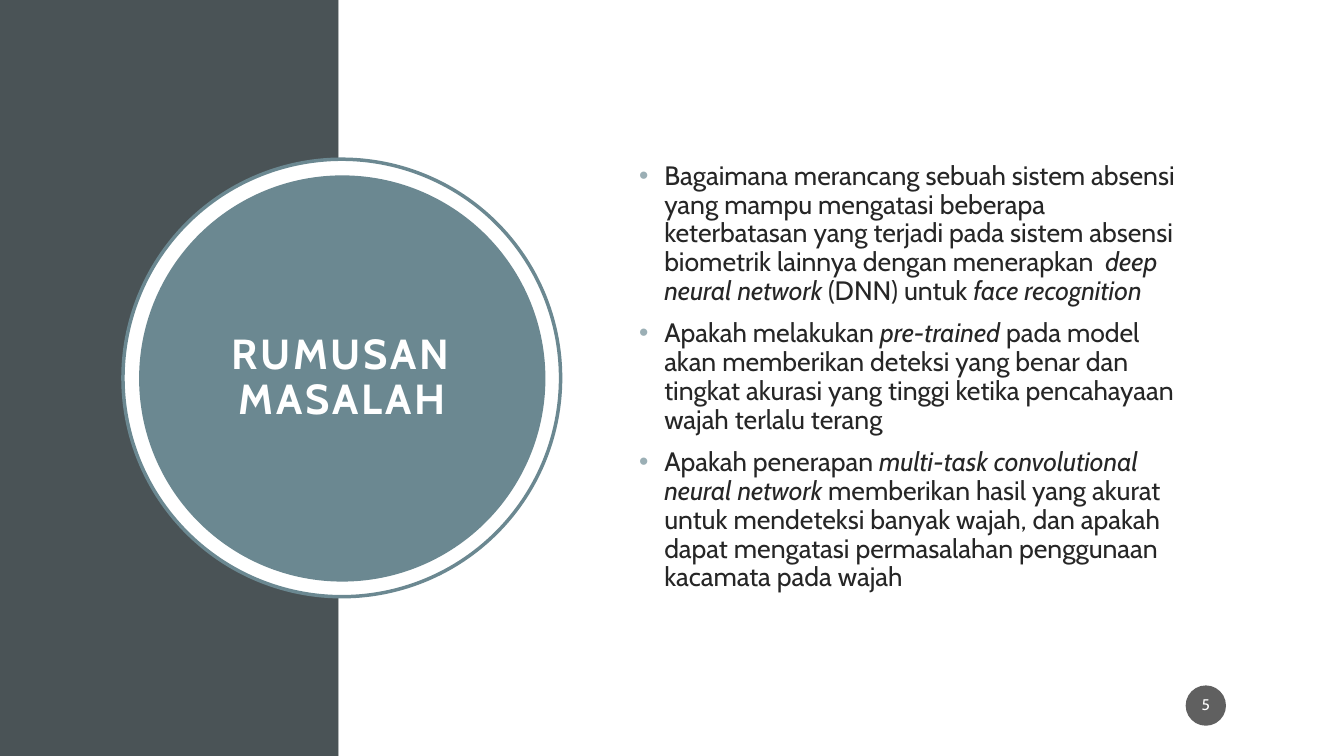
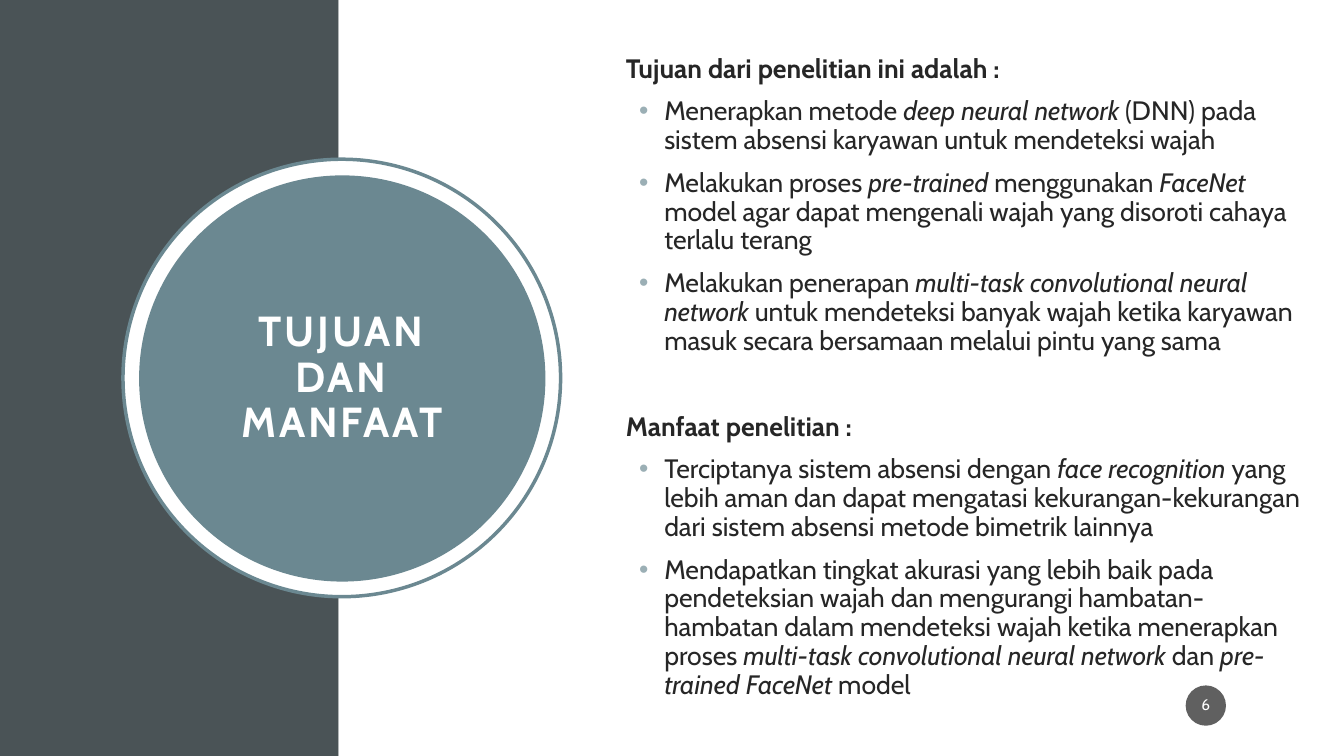
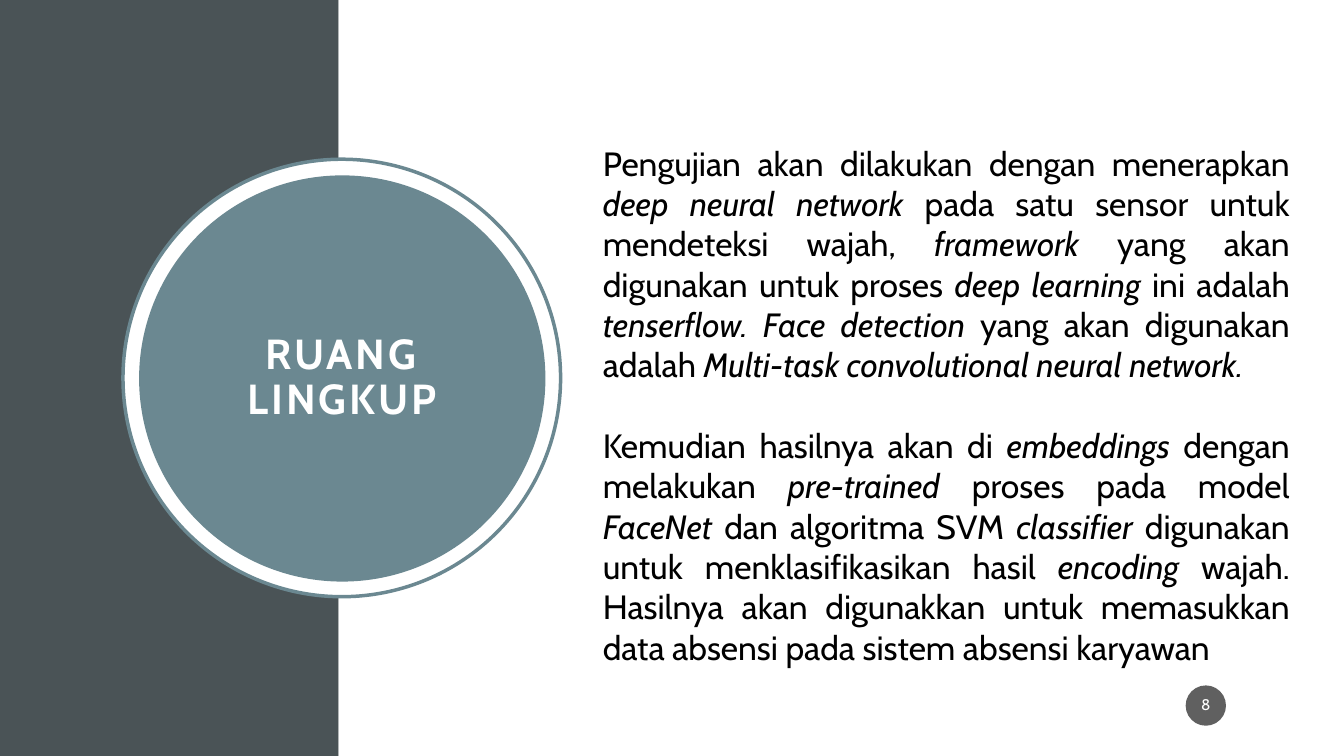
"""Build three slides, each with a round title beside its body text."""
from dataclasses import dataclass

from lxml import etree
from pptx import Presentation
from pptx import util as u
from pptx.dml.color import RGBColor
from pptx.enum import shapes, text
from pptx.oxml.ns import qn
from pptx.shapes.autoshape import Shape
from pptx.slide import Slide

KIND = shapes.MSO_SHAPE
ALIGN = text.PP_ALIGN


@dataclass(frozen=True)
class Theme:
    font: str = "Cabin"
    band: str = "4A5356"
    disc: str = "6B8891"
    dot: str = "9BAFB5"
    badge: str = "1D1D1D"
    white: str = "FFFFFF"
    ink: str = "262626"
    black: str = "000000"
    head: int = 30
    list: int = 19
    prose: int = 24
    foot: int = 11


T = Theme()


@dataclass(frozen=True)
class Box:
    x: float
    y: float
    w: float
    h: float

    def emu(self) -> list[u.Length]:
        return [u.Inches(n) for n in (self.x, self.y, self.w, self.h)]


@dataclass(frozen=True)
class Style:
    size: int
    color: str
    align: ALIGN = ALIGN.LEFT
    line: float = 1.0
    before: int = 0
    after: int = 0
    bold: bool = False
    track: int = 0
    bullet: bool = False


@dataclass(frozen=True)
class Para:
    words: str
    style: Style


@dataclass(frozen=True)
class Page:
    title: str
    num: int
    box: Box
    body: list[Para]


BAND = Box(0, 0, 3.36, 7.5)
PANEL = Box(3.36, 0, 9.97, 7.5)
RING = Box(1.22, 1.58, 4.34, 4.34)
DISC = Box(1.38, 1.74, 4.03, 4.03)
BADGE = Box(11.76, 6.8, 0.4, 0.4)

TITLE = Style(T.head, T.white, ALIGN.CENTER, 0.9, after=6, bold=True, track=200)
FOOT = Style(T.foot, T.white, ALIGN.CENTER, 0.9, after=6)
ITEM = Style(T.list, T.ink, line=0.9, before=10, bullet=True)
LEAD = Style(T.list, T.ink, line=0.9, before=10, bold=True)
NEXT = Style(T.list, T.ink, line=0.9, before=41, bold=True)
PROSE = Style(T.prose, T.black, ALIGN.JUSTIFY)
LATER = Style(T.prose, T.black, ALIGN.JUSTIFY, before=29)

PAGES = [
    Page("RUMUSAN MASALAH", 5, Box(6.11, 1.53, 5.82, 4.43), [
        Para("Bagaimana merancang sebuah sistem absensi yang mampu mengatasi "
             "beberapa keterbatasan yang terjadi pada sistem absensi biometrik "
             "lainnya dengan menerapkan  _deep neural network _(DNN) untuk "
             "_face recognition_", ITEM),
        Para("Apakah melakukan_ pre-trained _pada model akan memberikan deteksi "
             "yang benar dan tingkat akurasi yang tinggi ketika pencahayaan "
             "wajah terlalu terang", ITEM),
        Para("Apakah penerapan _multi-task convolutional neural network "
             "_memberikan hasil yang akurat untuk mendeteksi banyak wajah, dan "
             "apakah dapat mengatasi permasalahan penggunaan kacamata pada "
             "wajah", ITEM),
    ]),
    Page("TUJUAN DAN MANFAAT", 6, Box(6.11, 1.53, 7.01, 4.43), [
        Para("Tujuan dari penelitian ini adalah :", LEAD),
        Para("Menerapkan metode _deep neural network _(DNN) pada sistem absensi "
             "karyawan untuk mendeteksi wajah", ITEM),
        Para("Melakukan proses _pre-trained _menggunakan _FaceNet _model agar "
             "dapat mengenali wajah yang disoroti cahaya terlalu terang", ITEM),
        Para("Melakukan penerapan _multi-task convolutional neural network "
             "_untuk mendeteksi banyak wajah ketika karyawan masuk secara "
             "bersamaan melalui pintu yang sama", ITEM),
        Para("Manfaat penelitian :", NEXT),
        Para("Terciptanya sistem absensi dengan _face recognition _yang lebih "
             "aman dan dapat mengatasi kekurangan-kekurangan dari sistem "
             "absensi metode bimetrik lainnya", ITEM),
        Para("Mendapatkan tingkat akurasi yang lebih baik pada pendeteksian "
             "wajah dan mengurangi hambatan-hambatan dalam mendeteksi wajah "
             "ketika menerapkan proses _multi-task convolutional neural network "
             "_dan _pre-trained FaceNet_ model", ITEM),
    ]),
    Page("RUANG LINGKUP", 8, Box(5.88, 1.53, 7.01, 4.97), [
        Para("Pengujian akan dilakukan dengan menerapkan _deep neural network "
             "_pada satu sensor untuk mendeteksi wajah, _framework _yang akan "
             "digunakan untuk proses _deep learning _ini adalah _tenserflow. "
             "Face detection_ yang akan digunakan adalah_ Multi-task "
             "convolutional neural network._", PROSE),
        Para("Kemudian hasilnya akan di _embeddings _dengan melakukan "
             "_pre-trained _proses pada model _FaceNet _dan algoritma SVM "
             "_classifier _digunakan untuk menklasifikasikan hasil _encoding "
             "_wajah. Hasilnya akan digunakkan untuk memasukkan data absensi "
             "pada sistem absensi karyawan", LATER),
    ]),
]


def add_dot(para) -> None:
    """Give a paragraph a hanging round bullet."""
    props = para._p.get_or_add_pPr()
    props.set("marL", str(u.Inches(0.38)))
    props.set("indent", str(u.Inches(-0.25)))
    tint = etree.SubElement(props, qn("a:buClr"))
    etree.SubElement(tint, qn("a:srgbClr"), val=T.dot)
    etree.SubElement(props, qn("a:buFont"), typeface="Arial")
    etree.SubElement(props, qn("a:buChar"), char="•")


def write(shape: Shape, paras: list[Para], pad: tuple[float, float]) -> None:
    """Fill a shape with paragraphs, where underscores toggle italics."""
    frame = shape.text_frame
    frame.word_wrap = True
    frame.vertical_anchor = text.MSO_ANCHOR.MIDDLE
    frame.margin_left = frame.margin_right = u.Inches(pad[0])
    frame.margin_top = frame.margin_bottom = u.Inches(pad[1])
    for num, item in enumerate(paras):
        para = frame.add_paragraph() if num else frame.paragraphs[0]
        style = item.style
        para.alignment = style.align
        para.line_spacing = style.line
        para.space_before = u.Pt(style.before)
        para.space_after = u.Pt(style.after)
        if style.bullet:
            add_dot(para)
        for turn, bit in enumerate(item.words.split("_")):
            if not bit:
                continue
            run = para.add_run()
            run.text = bit
            font = run.font
            font.name, font.size = T.font, u.Pt(style.size)
            font.bold, font.italic = style.bold, turn % 2 == 1
            font.color.rgb = RGBColor.from_string(style.color)
            if style.track:
                run._r.get_or_add_rPr().set("spc", str(style.track))


def draw(slide: Slide, kind: KIND, box: Box, fill: str, line: str = "",
         alpha: int = 100) -> Shape:
    """Add a filled shape, outlined when a line colour is given."""
    shape = slide.shapes.add_shape(kind, *box.emu())
    shape.shadow.inherit = False
    shape.fill.solid()
    shape.fill.fore_color.rgb = RGBColor.from_string(fill)
    if alpha < 100:
        tint = shape.element.spPr.find(".//" + qn("a:srgbClr"))
        etree.SubElement(tint, qn("a:alpha"), val=str(alpha * 1000))
    if line:
        shape.line.color.rgb = RGBColor.from_string(line)
        shape.line.width = u.Pt(2.5)
    else:
        shape.line.fill.background()
    return shape


def build(slide: Slide, page: Page) -> None:
    """Draw the shared frame, the title, the body and the page number."""
    draw(slide, KIND.RECTANGLE, BAND, T.band)
    draw(slide, KIND.RECTANGLE, PANEL, T.white)
    draw(slide, KIND.OVAL, RING, T.white, T.disc)
    disc = draw(slide, KIND.OVAL, DISC, T.disc)
    write(disc, [Para(page.title, TITLE)], (0.2, 0.2))
    body = slide.shapes.add_textbox(*page.box.emu())
    write(body, page.body, (0.1, 0.05))
    badge = draw(slide, KIND.OVAL, BADGE, T.badge, alpha=70)
    write(badge, [Para(str(page.num), FOOT)], (0.02, 0.05))


def main() -> None:
    """Build and save the deck."""
    deck = Presentation()
    deck.slide_width, deck.slide_height = u.Inches(13.33), u.Inches(7.5)
    for page in PAGES:
        build(deck.slides.add_slide(deck.slide_layouts[6]), page)
    deck.save("out.pptx")


if __name__ == "__main__":
    main()
